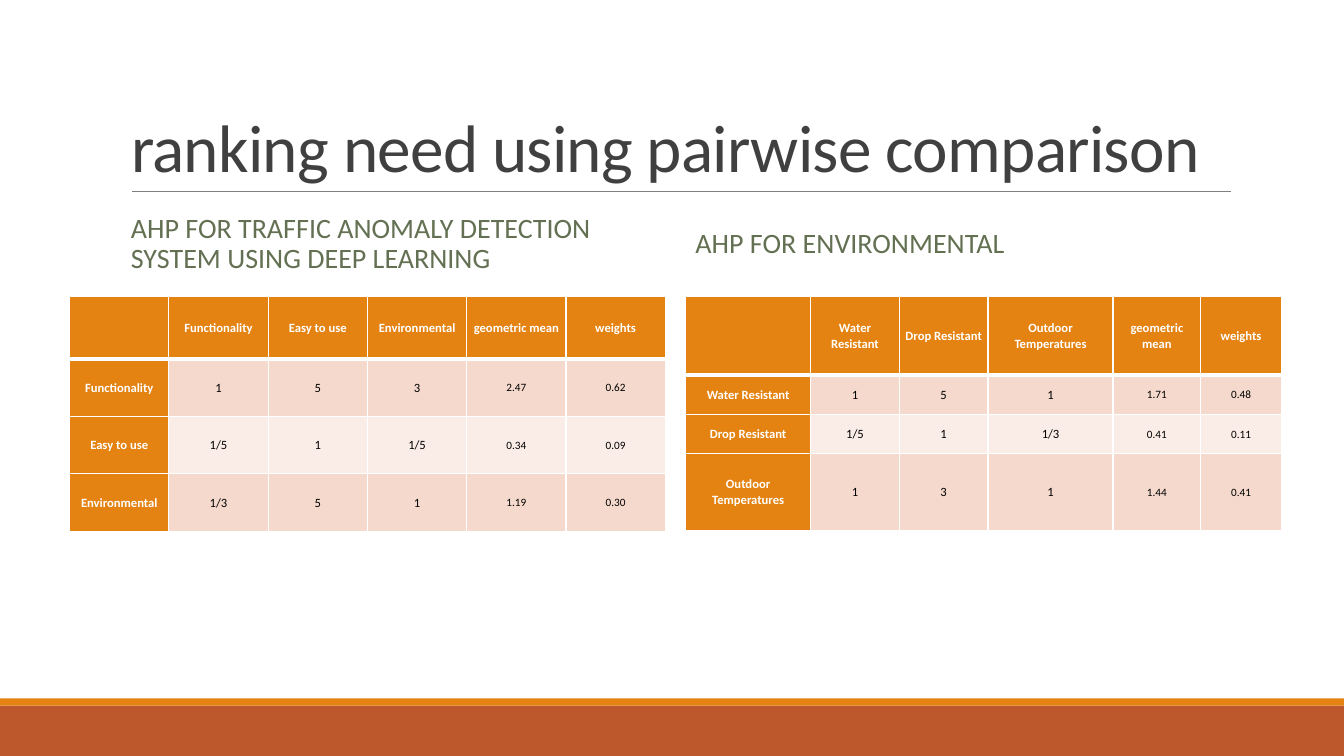
from lxml.etree import SubElement
from pptx import Presentation
from pptx.dml.color import RGBColor
from pptx.enum.shapes import MSO_CONNECTOR, MSO_SHAPE
from pptx.enum.text import MSO_ANCHOR, MSO_AUTO_SIZE, PP_ALIGN
from pptx.oxml import parse_xml
from pptx.oxml.ns import nsdecls, qn
from pptx.util import Inches, Pt

COLORS = {
    "white": "FFFFFF", "black": "000000", "title": "404040", "heading": "637052",
    "rule": "808080", "orange": "E48312", "rust": "BD582C",
    "band_dark": "F5D9CC", "band_light": "FAEDE7",
}
FONT = "Calibri"
SLIDE_WIDTH, SLIDE_HEIGHT = 13.33, 7.5
HEADING_TOP, HEADING_WIDTH, HEADING_HEIGHT = 2.02, 5.4, 0.81
TABLE_TOP = 2.94

FUNCTIONALITY_TABLE = [
    ["", "Functionality", "Easy to use", "Environmental", "geometric mean", "weights"],
    ["Functionality", "1", "5", "3", "2.47", "0.62"],
    ["Easy to use", "1/5", "1", "1/5", "0.34", "0.09"],
    ["Environmental", "1/3", "5", "1", "1.19", "0.30"],
]
ENVIRONMENTAL_TABLE = [
    ["", "Water Resistant", "Drop Resistant", "Outdoor Temperatures", "geometric mean", "weights"],
    ["Water Resistant", "1", "5", "1", "1.71", "0.48"],
    ["Drop Resistant", "1/5", "1", "1/3", "0.41", "0.11"],
    ["Outdoor Temperatures", "1", "3", "1", "1.44", "0.41"],
]


def color(name):
    return RGBColor.from_string(COLORS[name])


def style_paragraph(paragraph, size, color_name, line_spacing, bold=False):
    paragraph.line_spacing = line_spacing
    paragraph.font.name = FONT
    paragraph.font.size = Pt(size)
    paragraph.font.bold = bold
    paragraph.font.color.rgb = color(color_name)


def add_footer_band(slide, top, height, color_name):
    band = slide.shapes.add_shape(
        MSO_SHAPE.RECTANGLE, 0, Inches(top), Inches(SLIDE_WIDTH), Inches(height))
    band.shadow.inherit = False
    band.fill.solid()
    band.fill.fore_color.rgb = color(color_name)
    band.line.fill.background()


def add_title_rule(slide, left, right, y):
    rule = slide.shapes.add_connector(
        MSO_CONNECTOR.STRAIGHT, Inches(left), Inches(y), Inches(right), Inches(y))
    rule.line.color.rgb = color("rule")
    rule.line.width = Pt(0.5)
    SubElement(rule._element.spPr, qn("a:effectLst"))


def fill_title(slide, text, left, top, width, height):
    title = slide.shapes.title
    title.left, title.top = Inches(left), Inches(top)
    title.width, title.height = Inches(width), Inches(height)
    frame = title.text_frame
    frame.text = text
    frame.auto_size = MSO_AUTO_SIZE.NONE
    frame.vertical_anchor = MSO_ANCHOR.BOTTOM
    paragraph = frame.paragraphs[0]
    paragraph.alignment = PP_ALIGN.LEFT
    style_paragraph(paragraph, 48, "title", 0.85)
    paragraph.runs[0].font._element.set("spc", "-50")


def add_heading(slide, text, left, top, width, height):
    box = slide.shapes.add_textbox(Inches(left), Inches(top), Inches(width), Inches(height))
    frame = box.text_frame
    frame.word_wrap = True
    frame.vertical_anchor = MSO_ANCHOR.MIDDLE
    frame.text = text
    style_paragraph(frame.paragraphs[0], 20, "heading", 0.9)


def set_borders(cell, row):
    """White grid lines, heavier between the header row and the body."""
    widths = {"L": 1, "R": 1, "T": 3 if row == 1 else 1, "B": 3 if row == 0 else 1}
    properties = cell._tc.get_or_add_tcPr()
    for index, (side, width) in enumerate(widths.items()):
        properties.insert(index, parse_xml(
            f'<a:ln{side} {nsdecls("a")} w="{Pt(width)}"><a:solidFill>'
            f'<a:srgbClr val="{COLORS["white"]}"/></a:solidFill></a:ln{side}>'))


def format_cell(cell, text, row, column):
    is_header = row == 0 or column == 0
    cell.margin_left = cell.margin_right = Inches(0.06)
    cell.margin_top = cell.margin_bottom = 0
    cell.vertical_anchor = MSO_ANCHOR.MIDDLE
    set_borders(cell, row)
    cell.fill.solid()
    band = "band_dark" if row % 2 else "band_light"
    cell.fill.fore_color.rgb = color("orange" if is_header else band)
    cell.text = text
    paragraph = cell.text_frame.paragraphs[0]
    paragraph.alignment = PP_ALIGN.CENTER
    size = 9 if is_header or column < 4 else 8
    style_paragraph(paragraph, size, "white" if is_header else "black", 1.07, is_header)


def add_comparison_table(slide, rows, left, top, column_widths, row_heights):
    table = slide.shapes.add_table(
        len(rows), len(rows[0]), Inches(left), Inches(top),
        Inches(sum(column_widths)), Inches(sum(row_heights))).table
    for column, width in zip(table.columns, column_widths):
        column.width = Inches(width)
    for table_row, height in zip(table.rows, row_heights):
        table_row.height = Inches(height)
    for row, texts in enumerate(rows):
        for column, text in enumerate(texts):
            format_cell(table.cell(row, column), text, row, column)


def main():
    presentation = Presentation()
    presentation.slide_width = Inches(SLIDE_WIDTH)
    presentation.slide_height = Inches(SLIDE_HEIGHT)
    slide = presentation.slides.add_slide(presentation.slide_layouts[5])

    add_footer_band(slide, 7, 0.5, "rust")
    add_footer_band(slide, 6.93, 0.07, "orange")
    add_title_rule(slide, 1.31, 12.21, 1.9)
    fill_title(slide, "ranking need using pairwise comparison", 1.2, 0.31, 11, 1.59)

    add_heading(slide, "AHP FOR TRAFFIC ANOMALY DETECTION SYSTEM USING DEEP LEARNING",
                1.2, HEADING_TOP, HEADING_WIDTH, HEADING_HEIGHT)
    add_comparison_table(slide, FUNCTIONALITY_TABLE, 0.69, TABLE_TOP,
                         [0.985] * 6, [0.62] + [0.57] * 3)
    add_heading(slide, "AHP FOR ENVIRONMENTAL",
                6.8, HEADING_TOP, HEADING_WIDTH, HEADING_HEIGHT)
    add_comparison_table(slide, ENVIRONMENTAL_TABLE, 6.8, TABLE_TOP,
                         [1.24, 0.88, 0.88, 1.24, 0.87, 0.8], [0.78, 0.39, 0.39, 0.76])

    presentation.save("out.pptx")


if __name__ == "__main__":
    main()
